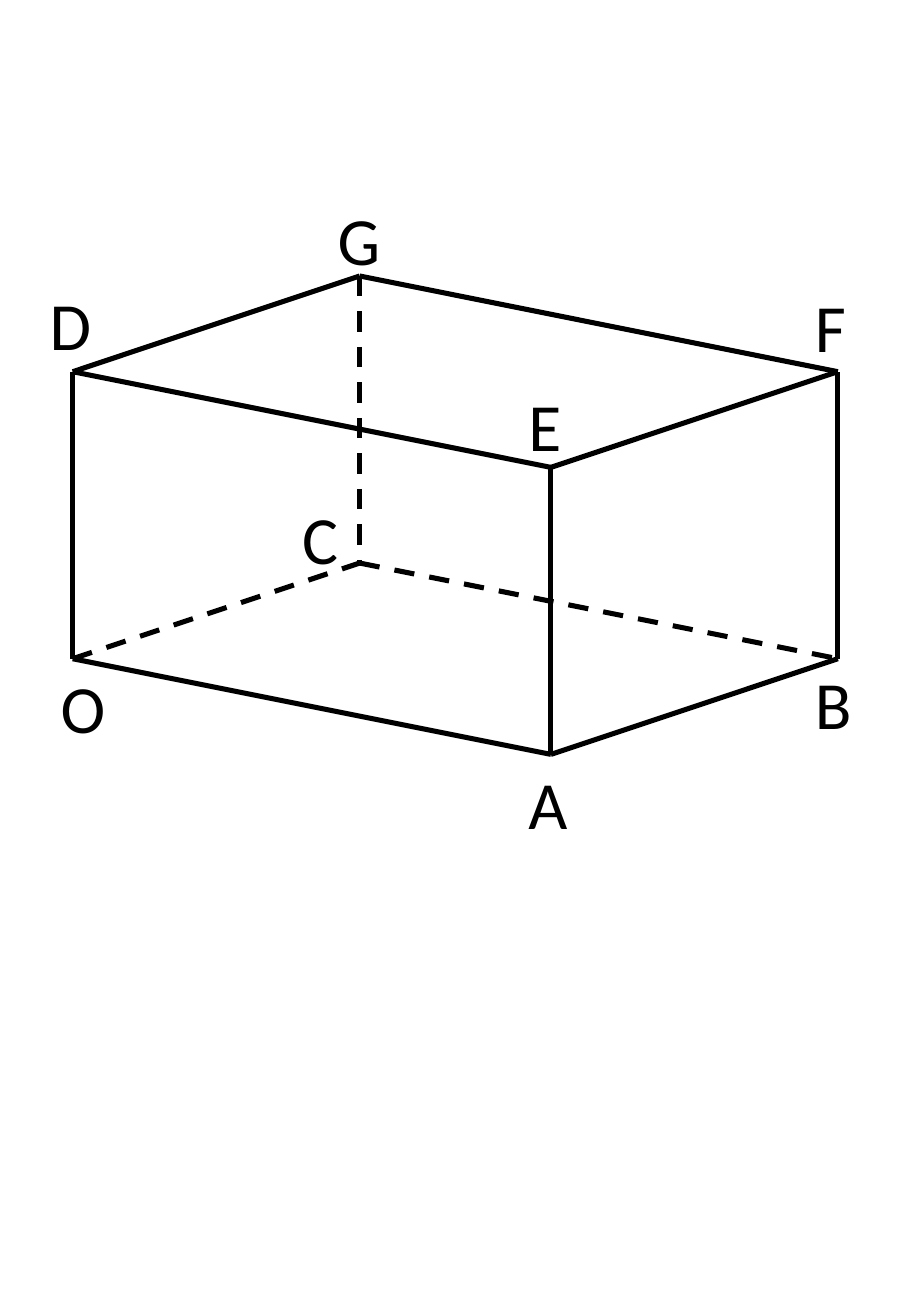
"""Build a slide with a labelled cuboid OABC-DEFG whose hidden edges are dashed."""
from lxml import etree
from pptx import Presentation
from pptx.dml.color import RGBColor
from pptx.enum.dml import MSO_LINE
from pptx.enum.shapes import MSO_CONNECTOR
from pptx.enum.text import MSO_AUTO_SIZE
from pptx.oxml.ns import qn
from pptx.util import Cm, Pt

STRAIGHT = MSO_CONNECTOR.STRAIGHT
DASH = MSO_LINE.DASH
FIT_SHAPE = MSO_AUTO_SIZE.SHAPE_TO_FIT_TEXT
COLORS = {"ink": "000000"}
FONT = "Calibri"

ORIGIN = (1.52, 13.77)
WIDTH_VECTOR = (10, 2)
DEPTH_VECTOR = (6, -2)
HEIGHT_VECTOR = (0, -6)
VERTEX_STEPS = {
    "O": (0, 0, 0), "A": (1, 0, 0), "B": (1, 1, 0), "C": (0, 1, 0),
    "D": (0, 0, 1), "E": (1, 0, 1), "F": (1, 1, 1), "G": (0, 1, 1),
}
VISIBLE_EDGES = ["OD", "AE", "BF", "DG", "EF", "AB", "GF", "OA", "DE"]
HIDDEN_EDGES = ["GC", "OC", "CB"]

LABEL_HEIGHT = 1.96
LABELS = {
    "O": (-0.5, 0.02, 1.45), "A": (-0.72, 0.03, 1.35),
    "D": (-0.73, -1.98, 1.4), "C": (-1.45, -1.51, 1.27),
    "G": (-0.71, -1.76, 1.42), "F": (-0.73, -1.93, 1.17),
    "B": (-0.73, -0.05, 1.3), "E": (-0.72, -1.87, 1.22),
}


def locate(vertex):
    vectors = (WIDTH_VECTOR, DEPTH_VECTOR, HEIGHT_VECTOR)
    return [
        ORIGIN[axis] + sum(step * vector[axis] for step, vector in zip(VERTEX_STEPS[vertex], vectors))
        for axis in (0, 1)
    ]


def add_edge(slide, edge, dashed):
    start, end = edge
    points = [Cm(value) for value in locate(start) + locate(end)]
    connector = slide.shapes.add_connector(STRAIGHT, *points)
    connector.line.color.rgb = RGBColor.from_string(COLORS["ink"])
    connector.line.width = Pt(3)
    if dashed:
        connector.line.dash_style = DASH
    properties = connector._element.find(qn("p:spPr"))
    etree.SubElement(properties, qn("a:effectLst"))


def add_label(slide, vertex, offset_x, offset_y, width):
    x, y = locate(vertex)
    box = slide.shapes.add_textbox(Cm(x + offset_x), Cm(y + offset_y), Cm(width), Cm(LABEL_HEIGHT))
    frame = box.text_frame
    frame.text = vertex
    frame.word_wrap = False
    frame.auto_size = FIT_SHAPE
    font = frame.paragraphs[0].runs[0].font
    font.name = FONT
    font.size = Pt(40)
    font.color.rgb = RGBColor.from_string(COLORS["ink"])


presentation = Presentation()
presentation.slide_width = Cm(19.05)
presentation.slide_height = Cm(27.51)
slide = presentation.slides.add_slide(presentation.slide_layouts[6])

for edge in VISIBLE_EDGES + HIDDEN_EDGES:
    add_edge(slide, edge, edge in HIDDEN_EDGES)
for vertex, placement in LABELS.items():
    add_label(slide, vertex, *placement)

presentation.save("out.pptx")
